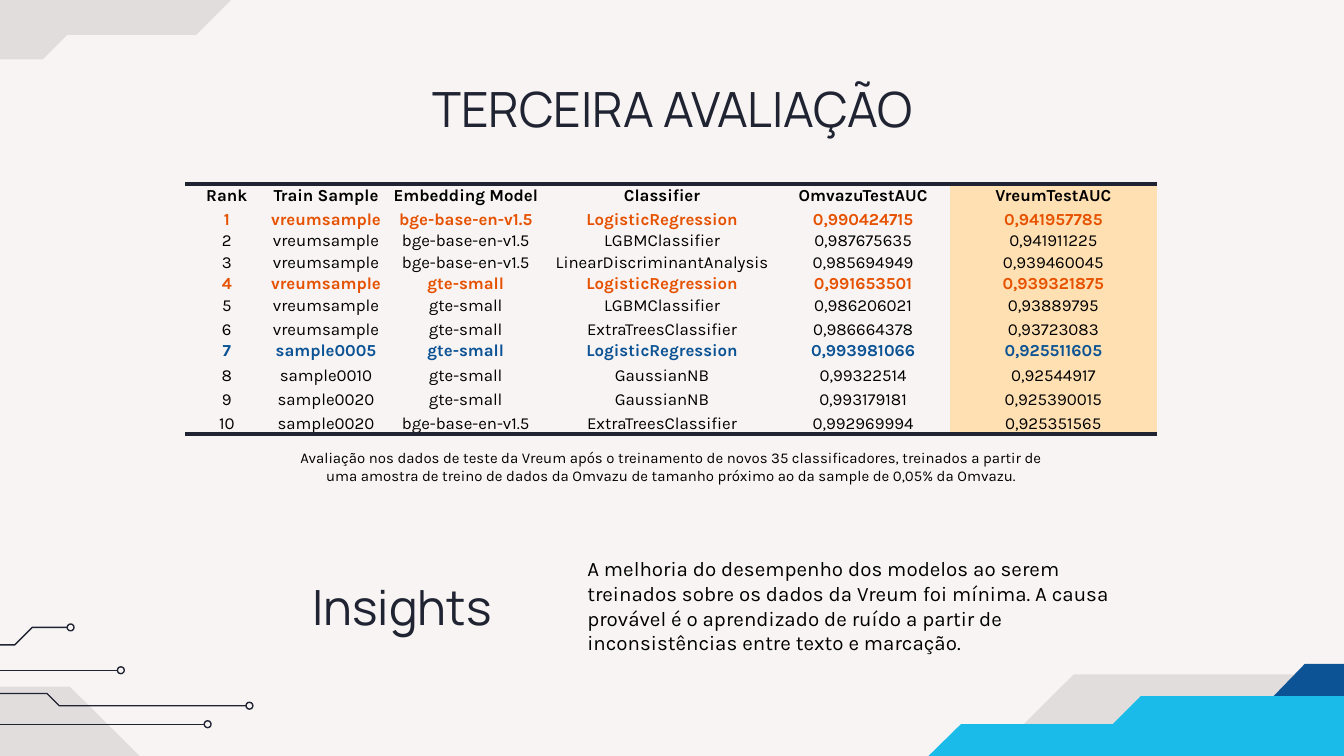
from lxml import etree
from pptx import Presentation
from pptx.dml.color import RGBColor
from pptx.enum.shapes import MSO_CONNECTOR, MSO_SHAPE
from pptx.enum.text import MSO_ANCHOR, MSO_AUTO_SIZE, PP_ALIGN
from pptx.oxml.ns import qn
from pptx.util import Cm, Pt

STRAIGHT = MSO_CONNECTOR.STRAIGHT
OVAL = MSO_SHAPE.OVAL
TOP, MIDDLE, BOTTOM = MSO_ANCHOR.TOP, MSO_ANCHOR.MIDDLE, MSO_ANCHOR.BOTTOM
LEFT, CENTER = PP_ALIGN.LEFT, PP_ALIGN.CENTER
NO_AUTOFIT = MSO_AUTO_SIZE.NONE
NO_TABLE_STYLE = "{2D5ABB26-0587-4C30-8999-92F81FD0307C}"

HEADING_FONT, BODY_FONT = "Manrope", "Karla"
PAPER, INK, BLACK = "F8F4F4", "202331", "000000"
NAVY, CYAN, ORANGE, PEACH = "0B5394", "1BBBE9", "E65100", "FFE0B2"

# Corner shapes, in centimetres
GREY_CORNERS = [
    [(24.94, 12.75), (24.94, 17.83), (15.19, 17.83), (20.29, 12.75)],
    [(-2.64, 1.12), (-2.64, -3.78), (5.61, -3.78), (5.61, -0.2),
     (4.57, -0.2), (3.71, 0.66), (1.27, 0.66), (0.81, 1.12)],
    [(-3.33, 12.98), (-3.33, 18.07), (6.45, 18.07), (1.32, 12.98)],
]
NAVY_CORNER = [(27.46, 12.55), (26.8, 13.2), (24.03, 13.2), (24.66, 12.55)]
CYAN_CORNER = [(25.65, 13.16), (25.65, 18.92), (15.88, 18.92), (15.88, 14.71),
               (17.12, 14.71), (18.16, 13.69), (21.03, 13.69), (21.56, 13.16)]

# Circuit traces, each ending in a small ring
TRACES = [
    [(-2.01, 12.67), (2.22, 12.67)],
    [(-2.95, 12.19), (0.28, 12.19), (0.61, 11.86), (1.27, 11.86)],
    [(-3.76, 13.11), (0.89, 13.11), (1.12, 13.34), (4.65, 13.34)],
    [(-4.37, 13.69), (3.86, 13.69)],
]
RING = 0.13

COLUMNS = [1.57, 2.18, 3.1, 4.32, 3.28, 3.91]
ROW_HEIGHTS = [0.46, 0.23, 0.23, 0.28, 0.23, 0.23, 0.46, 0.23, 0.46, 0.46, 0.46]
HEADER = ("Rank", "Train Sample", "Embedding Model", "Classifier",
          "OmvazuTestAUC", "VreumTestAUC")
RESULTS = [
    ("vreumsample", "bge-base-en-v1.5", "LogisticRegression", "0,990424715", "0,941957785"),
    ("vreumsample", "bge-base-en-v1.5", "LGBMClassifier", "0,987675635", "0,941911225"),
    ("vreumsample", "bge-base-en-v1.5", "LinearDiscriminantAnalysis", "0,985694949", "0,939460045"),
    ("vreumsample", "gte-small", "LogisticRegression", "0,991653501", "0,939321875"),
    ("vreumsample", "gte-small", "LGBMClassifier", "0,986206021", "0,93889795"),
    ("vreumsample", "gte-small", "ExtraTreesClassifier", "0,986664378", "0,93723083"),
    ("sample0005", "gte-small", "LogisticRegression", "0,993981066", "0,925511605"),
    ("sample0010", "gte-small", "GaussianNB", "0,99322514", "0,92544917"),
    ("sample0020", "gte-small", "GaussianNB", "0,993179181", "0,925390015"),
    ("sample0020", "bge-base-en-v1.5", "ExtraTreesClassifier", "0,992969994", "0,925351565"),
]
HIGHLIGHTS = {0: BLACK, 1: ORANGE, 4: ORANGE, 7: NAVY}  # bold rows

CAPTION = ("Avaliação nos dados de teste da Vreum após o treinamento de novos 35 "
           "classificadores, treinados a partir de uma amostra de treino de dados da "
           "Omvazu de tamanho próximo ao da sample de 0,05% da Omvazu.")
INSIGHT = ("A melhoria do desempenho dos modelos ao serem treinados sobre os dados da "
           "Vreum foi mínima. A causa provável é o aprendizado de ruído a partir de "
           "inconsistências entre texto e marcação.")


def color(value):
    return RGBColor.from_string(value)


def set_fill(shape, value, alpha=None):
    shape.fill.solid()
    shape.fill.fore_color.rgb = color(value)
    if alpha is not None:
        tint = shape.fill._xPr.find(qn("a:solidFill"))[0]
        etree.SubElement(tint, qn("a:alpha"), val=str(alpha * 1000))


def set_line(shape):
    shape.line.color.rgb = color(INK)
    shape.line.width = Pt(0.75)


def add_outline(page, points, close):
    vertices = [(Cm(x), Cm(y)) for x, y in points]
    builder = page.shapes.build_freeform(*vertices[0])
    builder.add_line_segments(vertices[1:], close=close)
    shape = builder.convert_to_shape()
    shape.shadow.inherit = False
    return shape


def add_corner(page, points, value, alpha=None):
    shape = add_outline(page, points, True)
    set_fill(shape, value, alpha)
    shape.line.fill.background()


def add_trace(page, points):
    x, y = points[-1]
    if len(points) == 2:
        trace = page.shapes.add_connector(
            STRAIGHT, *(Cm(value) for point in points for value in point))
        etree.SubElement(trace._element.spPr, qn("a:effectLst"))
    else:
        trace = add_outline(page, points, False)
        trace.fill.background()
    set_line(trace)
    ring = page.shapes.add_shape(OVAL, Cm(x), Cm(y - RING / 2), Cm(RING), Cm(RING))
    ring.shadow.inherit = False
    ring.fill.background()
    set_line(ring)


def style_para(para, font, size, value, align, bold=False):
    para.alignment = align
    para.font.name = font
    para.font.size = Pt(size)
    para.font.color.rgb = color(value)
    para.font.bold = bold


def write_box(box, text, font, size, value, align, anchor):
    frame = box.text_frame
    frame.text = text
    frame.word_wrap = True
    frame.auto_size = NO_AUTOFIT
    frame.vertical_anchor = anchor
    frame.margin_left = frame.margin_right = Cm(0.25)
    frame.margin_top = frame.margin_bottom = Cm(0.25)
    style_para(frame.paragraphs[0], font, size, value, align)


def add_text(page, place, text, font, size, value, align):
    box = page.shapes.add_textbox(*(Cm(length) for length in place))
    write_box(box, text, font, size, value, align, MIDDLE)


def add_border(cell, side):
    line = etree.Element(qn("a:" + side), w=str(Pt(2)))
    fill = etree.SubElement(line, qn("a:solidFill"))
    etree.SubElement(fill, qn("a:srgbClr"), val=INK)
    cell._tc.get_or_add_tcPr().insert(0, line)


def add_results(page):
    rows = [HEADER] + [(str(rank), *row) for rank, row in enumerate(RESULTS, 1)]
    table = page.shapes.add_table(
        len(rows), len(COLUMNS), Cm(3.5), Cm(3.48),
        Cm(sum(COLUMNS)), Cm(sum(ROW_HEIGHTS))).table
    table.first_row = table.horz_banding = False
    table._tbl.tblPr.find(qn("a:tableStyleId")).text = NO_TABLE_STYLE
    for column, width in zip(table.columns, COLUMNS):
        column.width = Cm(width)
    for row, height in zip(table.rows, ROW_HEIGHTS):
        row.height = Cm(height)
    for i, row in enumerate(rows):
        for j, text in enumerate(row):
            cell = table.cell(i, j)
            cell.text = text
            cell.margin_left = cell.margin_right = cell.margin_top = Cm(0.03)
            cell.margin_bottom = 0
            cell.vertical_anchor = BOTTOM if i else TOP
            style_para(cell.text_frame.paragraphs[0], BODY_FONT, 9,
                       HIGHLIGHTS.get(i, BLACK), CENTER, i in HIGHLIGHTS)
            set_fill(cell, PEACH if j == len(COLUMNS) - 1 else PAPER)
            if i == 0:
                add_border(cell, "lnT")
            elif i == len(rows) - 1:
                add_border(cell, "lnB")


def main():
    deck = Presentation()
    deck.slide_width, deck.slide_height = Cm(25.4), Cm(14.29)
    page = deck.slides.add_slide(deck.slide_layouts[5])
    set_fill(page.background, PAPER)

    # Corner decoration
    for points in GREY_CORNERS:
        add_corner(page, points, BLACK, alpha=9)
    add_corner(page, NAVY_CORNER, NAVY)
    for points in TRACES:
        add_trace(page, points)
    add_corner(page, CYAN_CORNER, CYAN)

    # Title
    title = page.shapes.title
    title.left, title.top, title.width, title.height = Cm(2.01), Cm(1.24), Cm(21.41), Cm(1.6)
    write_box(title, "TERCEIRA AVALIAÇÃO", HEADING_FONT, 26, INK, CENTER, TOP)

    # Results, insight and caption
    add_results(page)
    add_text(page, (10.85, 10.13, 10.57, 2.64), INSIGHT, BODY_FONT, 11, BLACK, LEFT)
    add_text(page, (3.5, 10.13, 8.2, 2.64), "Insights", HEADING_FONT, 26, INK, CENTER)
    add_text(page, (5.1, 7.95, 15.19, 1.75), CAPTION, BODY_FONT, 8, BLACK, CENTER)

    deck.save("out.pptx")


if __name__ == "__main__":
    main()
